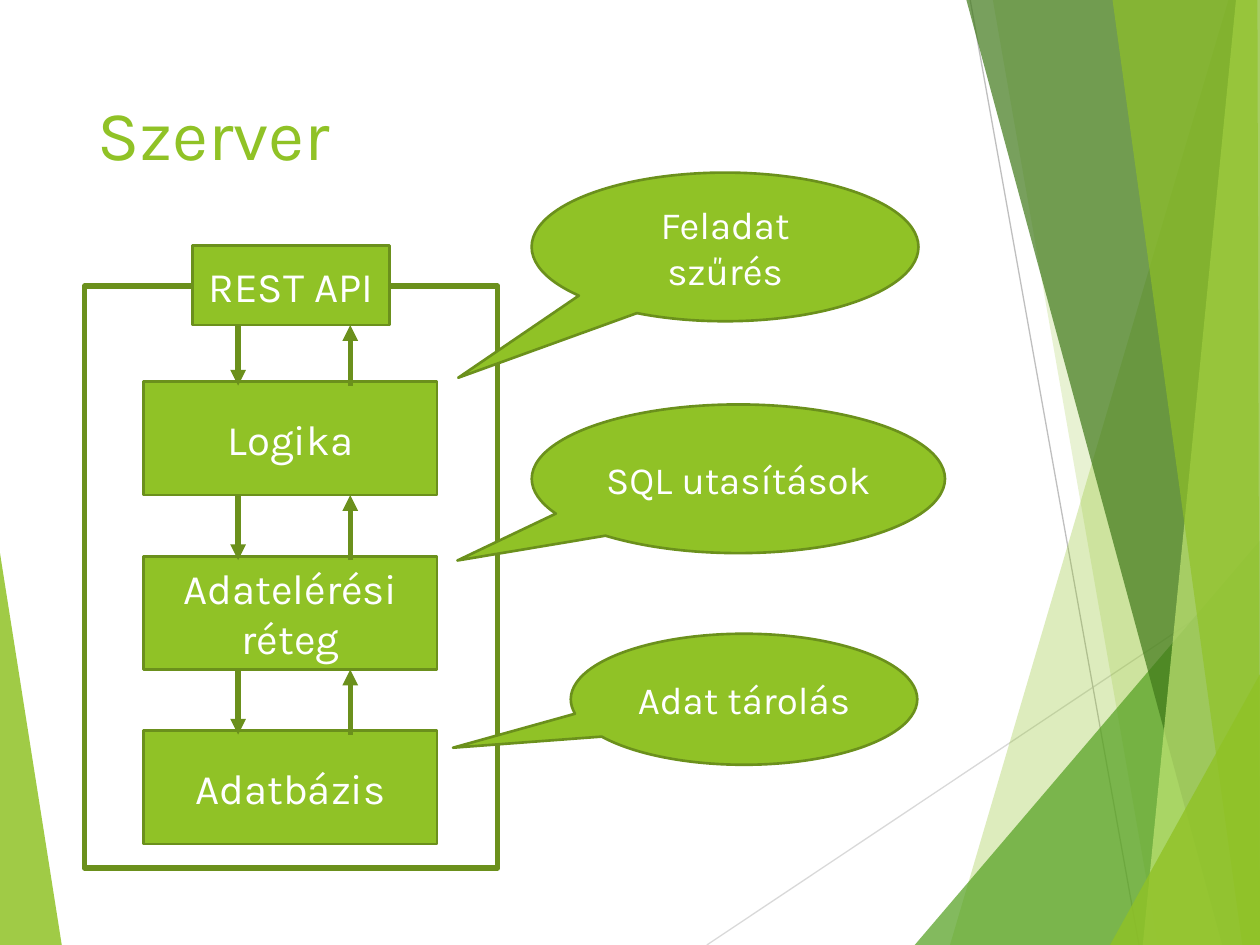
from lxml import etree
from pptx import Presentation
from pptx.dml.color import RGBColor
from pptx.enum.shapes import MSO_CONNECTOR, MSO_SHAPE
from pptx.enum.text import MSO_ANCHOR, PP_ALIGN
from pptx.oxml import parse_xml
from pptx.oxml.ns import nsdecls, qn
from pptx.util import Inches, Pt

# The slide is a grid of 100 columns by 75 rows
COLS, ROWS = 100, 75
CELL = Inches(0.1)

GREEN = RGBColor(0x90, 0xC2, 0x26)
MID_GREEN = RGBColor(0x54, 0xA0, 0x21)
DARK_GREEN = RGBColor(0x3F, 0x78, 0x19)
PALE_GREEN = RGBColor(0xC0, 0xE4, 0x74)
OUTLINE = RGBColor(0x6B, 0x90, 0x1C)
LIGHT_GRAY = RGBColor(0xD9, 0xD9, 0xD9)
GRAY = RGBColor(0xBF, 0xBF, 0xBF)
WHITE = RGBColor(0xFF, 0xFF, 0xFF)
FONT = "Karla"

# Background facets: corner points, colour, opacity in percent
LEFT_FACET = ([(0, 43.9), (4.9, 75), (0, 75)], GREEN, 85)
RIGHT_FACETS = [
    ([(97.5, 0), (75.4, 75), (100, 75), (100, 0)], GREEN, 30),
    ([(78.8, 0), (91.9, 75), (100, 75), (100, 0)], GREEN, 20),
    ([(72.6, 75), (100, 42.9), (100, 75)], MID_GREEN, 72),
    ([(76.7, 0), (97, 75), (100, 75), (100, 0)], DARK_GREEN, 70),
    ([(98.1, 0), (90.7, 75), (100, 75), (100, 0)], PALE_GREEN, 70),
    ([(88.3, 0), (98.6, 75), (100, 75), (99.8, 0)], GREEN, 65),
    ([(88.1, 75), (100, 53.5), (100, 75)], GREEN, 80),
]

# Server layers share one column; each is 9 rows high
LAYERS = ["Logika", "Adatelérési réteg", "Adatbázis"]
LAYER_LEFT, LAYER_TOP, LAYER_W, LAYER_H, LAYER_STEP = 11.4, 30.3, 23.3, 9, 13.85
DOWN_X, UP_X = 18.9, 27.8

# Callouts: text, position and size, pointer adjustments
CALLOUTS = [
    ("Feladat szűrés", (42.2, 13.7, 30.7, 11.8), (-0.69, 0.88)),
    ("SQL utasítások", (42.2, 32.1, 32.8, 11.8), (-0.68, 0.55)),
    ("Adat tárolás", (45.3, 50.3, 27.5, 10.4), (-0.84, 0.37)),
]


def grid(*cells):
    return [int(n * CELL) for n in cells]


def set_text(tf, text, size=24, color=WHITE, align=PP_ALIGN.CENTER,
             anchor=MSO_ANCHOR.MIDDLE):
    tf.word_wrap = True
    tf.vertical_anchor = anchor
    p = tf.paragraphs[0]
    p.alignment = align
    r = p.add_run()
    r.text = text
    r.font.name = FONT
    r.font.size = Pt(size)
    r.font.color.rgb = color


def add_facet(slide, points, color, opacity):
    start, *rest = [grid(*pt) for pt in points]
    builder = slide.shapes.build_freeform(*start)
    builder.add_line_segments(rest, close=True)
    sp = builder.convert_to_shape()
    sp.shadow.inherit = False
    sp.line.fill.background()
    sp.fill.solid()
    sp.fill.fore_color.rgb = color
    clr = sp.fill._xPr.find(qn("a:solidFill"))[0]
    etree.SubElement(clr, qn("a:alpha"), val=str(opacity * 1000))


def add_line(slide, start, end, color=OUTLINE, width=3, arrow=False):
    line = slide.shapes.add_connector(
        MSO_CONNECTOR.STRAIGHT, *grid(*start, *end))
    line.line.color.rgb = color
    line.line.width = Pt(width)
    if arrow:
        etree.SubElement(line.line._get_or_add_ln(), qn("a:tailEnd"),
                         type="triangle")
    line._element.spPr.append(parse_xml(f"<a:effectLst {nsdecls('a')}/>"))


def add_box(slide, box, text=None, kind=MSO_SHAPE.RECTANGLE, size=24,
            fill=GREEN, width=1.5):
    sp = slide.shapes.add_shape(kind, *grid(*box))
    sp.shadow.inherit = False
    sp.line.color.rgb = OUTLINE
    sp.line.width = Pt(width)
    if fill is None:
        sp.fill.background()
    else:
        sp.fill.solid()
        sp.fill.fore_color.rgb = fill
    if text:
        set_text(sp.text_frame, text, size=size)
    return sp


def add_background(slide):
    add_facet(slide, *LEFT_FACET)
    add_line(slide, (56.1, ROWS), (COLS, 45.7), color=LIGHT_GRAY, width=0.75)
    add_line(slide, (77, 0), (90.4, ROWS), color=GRAY, width=0.75)
    for facet in RIGHT_FACETS:
        add_facet(slide, *facet)


def add_title(slide):
    title = slide.shapes.title
    title.left, title.top, title.width, title.height = grid(6.7, 6.7, 69.4, 9.1)
    set_text(title.text_frame, "Szerver", size=40, color=GREEN,
             align=PP_ALIGN.LEFT, anchor=MSO_ANCHOR.TOP)
    # Keep the title in front of the background
    slide.shapes._spTree.append(title._element)


def add_server(slide):
    tops = [LAYER_TOP + i * LAYER_STEP for i in range(len(LAYERS))]
    for text, top in zip(LAYERS, tops):
        add_box(slide, (LAYER_LEFT, top, LAYER_W, LAYER_H), text)

    # Server frame, with the API on its top edge
    add_box(slide, (6.7, 22.7, 32.8, 46.2), fill=None, width=3)
    add_box(slide, (15.3, 19.5, 15.6, 6.3), "REST API")

    # A pair of arrows in each gap, reaching slightly into the lower box
    starts = [25.8] + [top + LAYER_H for top in tops[:-1]]
    for start, top in zip(starts, tops):
        end = top + 0.3
        add_line(slide, (DOWN_X, start), (DOWN_X, end), arrow=True)
        add_line(slide, (UP_X, end), (UP_X, start), arrow=True)


def add_callouts(slide):
    for text, box, pointer in CALLOUTS:
        sp = add_box(slide, box, text, kind=MSO_SHAPE.OVAL_CALLOUT, size=22)
        sp.adjustments[0], sp.adjustments[1] = pointer


def main():
    prs = Presentation()
    prs.slide_width, prs.slide_height = grid(COLS, ROWS)
    slide = prs.slides.add_slide(prs.slide_layouts[5])
    add_background(slide)
    add_title(slide)
    add_server(slide)
    add_callouts(slide)
    prs.save("out.pptx")


if __name__ == "__main__":
    main()
